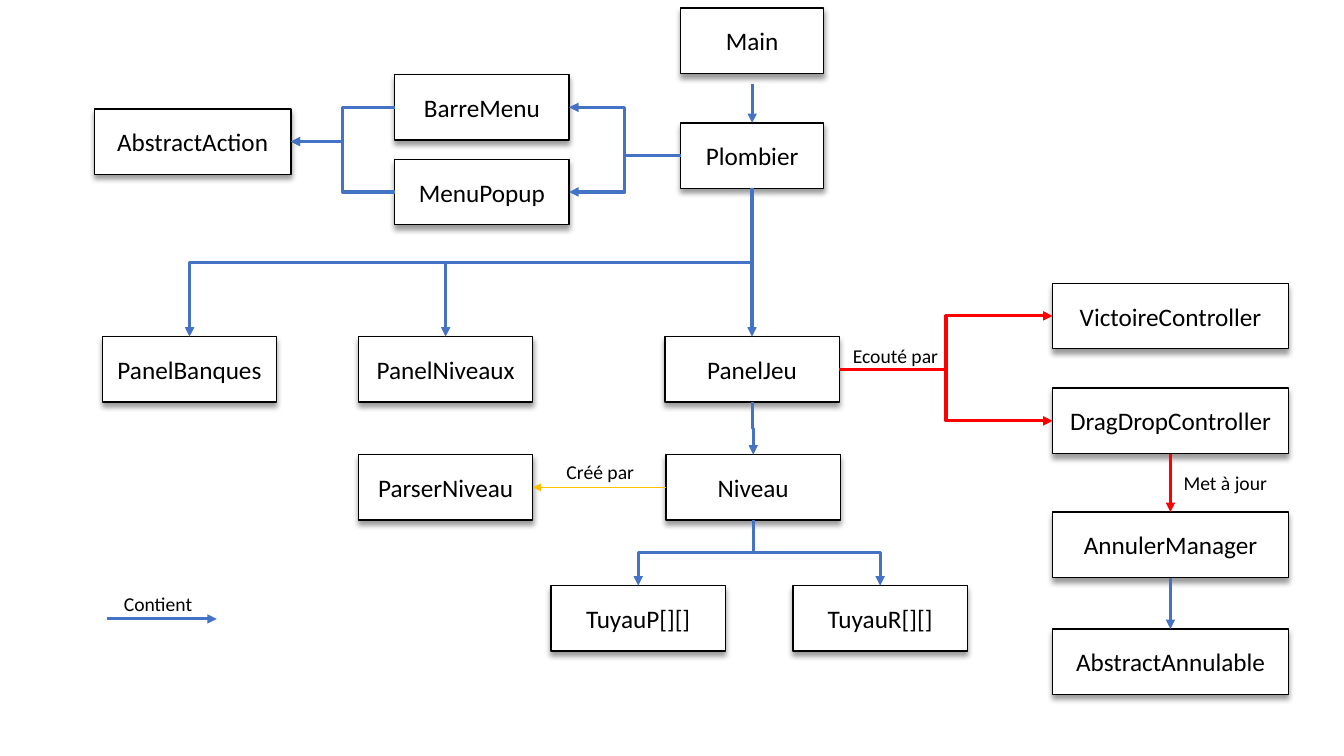
from lxml import etree
from pptx import Presentation
from pptx.dml.color import RGBColor
from pptx.enum.shapes import MSO_CONNECTOR as LINE, MSO_SHAPE as SHAPE
from pptx.enum.text import MSO_ANCHOR as ANCHOR, PP_ALIGN as ALIGN
from pptx.oxml.ns import qn
from pptx.util import Inches, Pt

BLACK = RGBColor(0x00, 0x00, 0x00)
WHITE = RGBColor(0xFF, 0xFF, 0xFF)
BLUE = RGBColor(0x44, 0x72, 0xC4)
RED = RGBColor(0xFF, 0x00, 0x00)
AMBER = RGBColor(0xFF, 0xC0, 0x00)
FONT = "Calibri"

# Column centres, row tops and box sizes, in inches
ACTION, BANKS, LEVELS, MENUS = 1.91, 1.88, 4.42, 4.78
PIPE_P, AXIS, PIPE_R, CONTROL = 6.33, 7.46, 8.73, 11.61
NARROW, NORMAL, MEDIUM, WIDE = 1.42, 1.73, 1.95, 2.34
PANEL_ROW, LEVEL_ROW, PIPE_ROW = 3.34, 4.51, 5.81
BOX_H, LABEL_H = 0.65, 0.34

# Connection sites of a rectangle
TOP, LEFT, BOTTOM, RIGHT = range(4)

prs = Presentation()
prs.slide_width, prs.slide_height = Inches(13.33), Inches(7.5)
s = prs.slides.add_slide(prs.slide_layouts[6])


def style_line(c, color, width):
    """Colour a connector, drop its shadow and give it an arrowhead."""
    c.line.color.rgb = color
    c.line.width = Pt(width)
    sp_pr = c.element.spPr
    etree.SubElement(sp_pr.find(qn("a:ln")), qn("a:tailEnd"), type="triangle")
    etree.SubElement(sp_pr, qn("a:effectLst"))


def link(start, start_site, end, end_site, color=BLUE, width=2.25):
    """Join two boxes with an elbow arrow, turned when it runs downwards."""
    c = s.shapes.add_connector(LINE.ELBOW, 0, 0, 0, 0)
    c.begin_connect(boxes[start], start_site)
    c.end_connect(boxes[end], end_site)
    if start_site == BOTTOM:
        x1, y1, x2, y2 = c.begin_x, c.begin_y, c.end_x, c.end_y
        run, drop = abs(x2 - x1), y2 - y1
        c.left, c.top = (x1 + x2 - drop) // 2, (y1 + y2 - run) // 2
        c.width, c.height = drop, run
        xfrm = c.element.spPr.find(qn("a:xfrm"))
        leftward = x2 < x1
        xfrm.set("rot", str((90 if leftward else 270) * 60000))
        xfrm.set("flipH", "0" if leftward else "1")
    style_line(c, color, width)


boxes = {}
for name, center, top, width in [
    ("Main", AXIS, 0.08, NARROW),
    ("Plombier", AXIS, 1.22, NARROW),
    ("BarreMenu", MENUS, 0.74, NORMAL),
    ("MenuPopup", MENUS, 1.58, NORMAL),
    ("AbstractAction", ACTION, 1.08, MEDIUM),
    ("PanelBanques", BANKS, PANEL_ROW, NORMAL),
    ("PanelNiveaux", LEVELS, PANEL_ROW, NORMAL),
    ("PanelJeu", AXIS, PANEL_ROW, NORMAL),
    ("ParserNiveau", LEVELS, LEVEL_ROW, NORMAL),
    ("Niveau", AXIS + 0.01, LEVEL_ROW, NORMAL),
    ("TuyauP[][]", PIPE_P, PIPE_ROW, NORMAL),
    ("TuyauR[][]", PIPE_R, PIPE_ROW, NORMAL),
    ("VictoireController", CONTROL, 2.81, WIDE),
    ("DragDropController", CONTROL, 3.85, WIDE),
    ("AnnulerManager", CONTROL, 5.08, WIDE),
    ("AbstractAnnulable", CONTROL, 6.24, WIDE),
]:
    sp = s.shapes.add_shape(SHAPE.RECTANGLE, Inches(center - width / 2),
                            Inches(top), Inches(width), Inches(BOX_H))
    sp.fill.solid()
    sp.fill.fore_color.rgb = WHITE
    sp.line.color.rgb = BLACK
    sp.line.width = Pt(1)
    sp.shadow.inherit = False
    shadow = etree.SubElement(
        sp.element.spPr.find(qn("a:effectLst")), qn("a:outerShdw"),
        blurRad=str(Pt(4)), dist=str(Pt(3)), dir=str(90 * 60000),
        algn="t", rotWithShape="0")
    tint = etree.SubElement(shadow, qn("a:srgbClr"), val=str(BLACK))
    etree.SubElement(tint, qn("a:alpha"), val="40000")
    tf = sp.text_frame
    tf.word_wrap = True
    tf.vertical_anchor = ANCHOR.MIDDLE
    p = tf.paragraphs[0]
    p.text = name
    p.alignment = ALIGN.CENTER
    p.font.name, p.font.size = FONT, Pt(18)
    p.font.color.rgb = BLACK
    boxes[name] = sp

for panel in ("PanelBanques", "PanelNiveaux", "PanelJeu"):
    link("Plombier", BOTTOM, panel, TOP)
for menu in ("BarreMenu", "MenuPopup"):
    link("Plombier", LEFT, menu, RIGHT)
    link(menu, LEFT, "AbstractAction", RIGHT)
link("PanelJeu", BOTTOM, "Niveau", TOP)
for pipe in ("TuyauP[][]", "TuyauR[][]"):
    link("Niveau", BOTTOM, pipe, TOP)
for controller in ("VictoireController", "DragDropController"):
    link("PanelJeu", RIGHT, controller, LEFT, RED)
link("DragDropController", BOTTOM, "AnnulerManager", TOP, RED)
link("AnnulerManager", BOTTOM, "AbstractAnnulable", TOP)
link("Niveau", LEFT, "ParserNiveau", RIGHT, AMBER, 1)

# Arrow from Main to Plombier, then the legend arrow
for x1, y1, x2, y2 in [(AXIS, 0.83, AXIS, 1.22), (1.06, 6.14, 2.15, 6.14)]:
    c = s.shapes.add_connector(LINE.STRAIGHT, Inches(x1), Inches(y1),
                               Inches(x2), Inches(y2))
    style_line(c, BLUE, 2.25)

for text, left, top, width in [
    ("Créé par", 5.52, 4.51, 0.9),
    ("Ecouté par", 8.36, 3.36, 1.06),
    ("Contient", 1.13, 5.82, 1.06),
    ("Met à jour", 11.64, 4.62, 1.06),
]:
    tf = s.shapes.add_textbox(Inches(left), Inches(top), Inches(width),
                              Inches(LABEL_H)).text_frame
    tf.word_wrap = True
    p = tf.paragraphs[0]
    p.text = text
    p.font.name, p.font.size = FONT, Pt(14)
    p.font.color.rgb = BLACK

prs.save("out.pptx")
